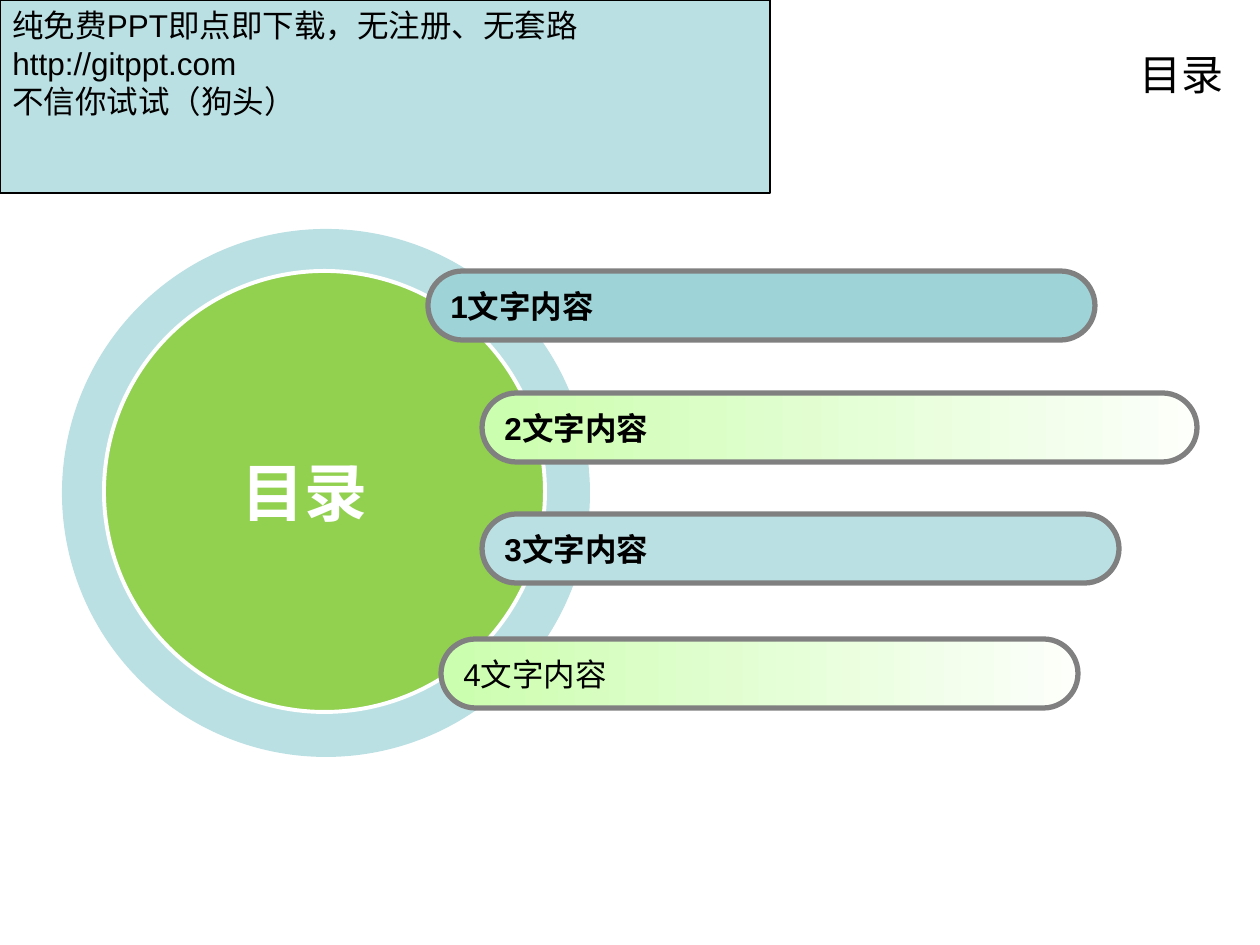
from dataclasses import dataclass

import lxml.etree
import pptx
import pptx.dml.color
import pptx.enum.shapes
import pptx.enum.text
import pptx.oxml.ns
import pptx.util

EMU_PER_PX = 914400 / 126
BAR_HEIGHT = 69
CJK_FONT = "Noto Sans CJK SC"
COLORS = {
    "ring": "BBE0E3",
    "disc": "92D050",
    "teal": "9ED3D7",
    "mint": "CBFEAE",
    "mist": "FCFFFA",
    "border": "808080",
    "white": "FFFFFF",
    "black": "000000",
}
SHAPES = pptx.enum.shapes.MSO_SHAPE
ALIGN = pptx.enum.text.PP_ALIGN
ANCHOR = pptx.enum.text.MSO_ANCHOR
NOTICE = """纯免费PPT即点即下载，无注册、无套路
http://gitppt.com
不信你试试（狗头）"""


@dataclass(frozen=True)
class Entry:
    text: str
    left: int
    top: int
    width: int
    fill: tuple[str, ...]
    bold: bool = True


ENTRIES = [
    Entry("1文字内容", 428, 271, 667, ("teal",)),
    Entry("2文字内容", 482, 393, 715, ("mint", "mist")),
    Entry("3文字内容", 482, 514, 637, ("ring",)),
    Entry("4文字内容", 441, 639, 637, ("mint", "mist"), bold=False),
]


def px(length: int) -> int:
    return round(length * EMU_PER_PX)


def rgb(name: str) -> pptx.dml.color.RGBColor:
    return pptx.dml.color.RGBColor.from_string(COLORS[name])


def add_text_shadow(run) -> None:
    effects = lxml.etree.Element(pptx.oxml.ns.qn("a:effectLst"))
    shadow = lxml.etree.SubElement(
        effects, pptx.oxml.ns.qn("a:outerShdw"), dist="25400", dir="2700000")
    lxml.etree.SubElement(
        shadow, pptx.oxml.ns.qn("a:srgbClr"), val=COLORS["black"])
    run.font.fill._xPr.find(pptx.oxml.ns.qn("a:solidFill")).addnext(effects)


def write(shape, text: str, *, size: int, color: str = "black",
          font: str = "Arial", bold: bool = False, align=ALIGN.LEFT,
          anchor=ANCHOR.TOP, shadow: bool = False) -> None:
    """Fill a shape with text, one paragraph for each line."""
    frame = shape.text_frame
    frame.word_wrap = True
    frame.vertical_anchor = anchor
    for index, line in enumerate(text.splitlines()):
        paragraph = frame.add_paragraph() if index else frame.paragraphs[0]
        paragraph.alignment = align
        run = paragraph.add_run()
        run.text = line
        run.font.size = pptx.util.Pt(size)
        run.font.bold = bold
        run.font.name = font
        run.font.color.rgb = rgb(color)
        latin = run.font.fill._xPr.find(pptx.oxml.ns.qn("a:latin"))
        latin.addnext(lxml.etree.Element(pptx.oxml.ns.qn("a:ea"), typeface=CJK_FONT))
        if shadow:
            add_text_shadow(run)


def add_figure(slide, kind, left: int, top: int, width: int, height: int,
               fill: tuple[str, ...], line: str | None = None,
               line_width: float = 0, adjustment: float | None = None):
    """Add a preset shape; two fill names make a left-to-right gradient."""
    shape = slide.shapes.add_shape(kind, px(left), px(top), px(width), px(height))
    shape.shadow.inherit = False
    if adjustment is not None:
        shape.adjustments[0] = adjustment
    if len(fill) == 1:
        shape.fill.solid()
        shape.fill.fore_color.rgb = rgb(fill[0])
    else:
        shape.fill.gradient()
        shape.fill.gradient_angle = 0
        for stop, name in zip(shape.fill.gradient_stops, fill):
            stop.color.rgb = rgb(name)
    if line is None:
        shape.line.fill.background()
    else:
        shape.line.color.rgb = rgb(line)
        shape.line.width = pptx.util.Pt(line_width)
    return shape


def add_entry(slide, entry: Entry) -> None:
    bar = add_figure(slide, SHAPES.ROUNDED_RECTANGLE, entry.left, entry.top,
                     entry.width, BAR_HEIGHT, entry.fill, "border", 3, 0.5)
    write(bar, entry.text, size=18, bold=entry.bold, anchor=ANCHOR.MIDDLE)


def main() -> None:
    deck = pptx.Presentation()
    deck.slide_width, deck.slide_height = px(1260), px(945)
    slide = deck.slides.add_slide(deck.slide_layouts[6])

    heading = slide.shapes.add_textbox(px(1008), px(42), px(228), px(63))
    write(heading, "目录", size=24, font=CJK_FONT, align=ALIGN.RIGHT)

    add_figure(slide, SHAPES.DONUT, 62, 229, 528, 528, ("ring",), adjustment=0.09)
    add_figure(slide, SHAPES.OVAL, 104, 271, 441, 441, ("disc",), "white", 2.25)
    hub_label = slide.shapes.add_textbox(px(148), px(447), px(314), px(88))
    write(hub_label, "目录", size=36, color="white", bold=True,
          align=ALIGN.CENTER, shadow=True)

    for entry in ENTRIES:
        add_entry(slide, entry)

    notice = add_figure(slide, SHAPES.RECTANGLE, 0, 0, 770, 193,
                        ("ring",), "black", 0.75)
    write(notice, NOTICE, size=18)

    deck.save("out.pptx")


if __name__ == "__main__":
    main()
